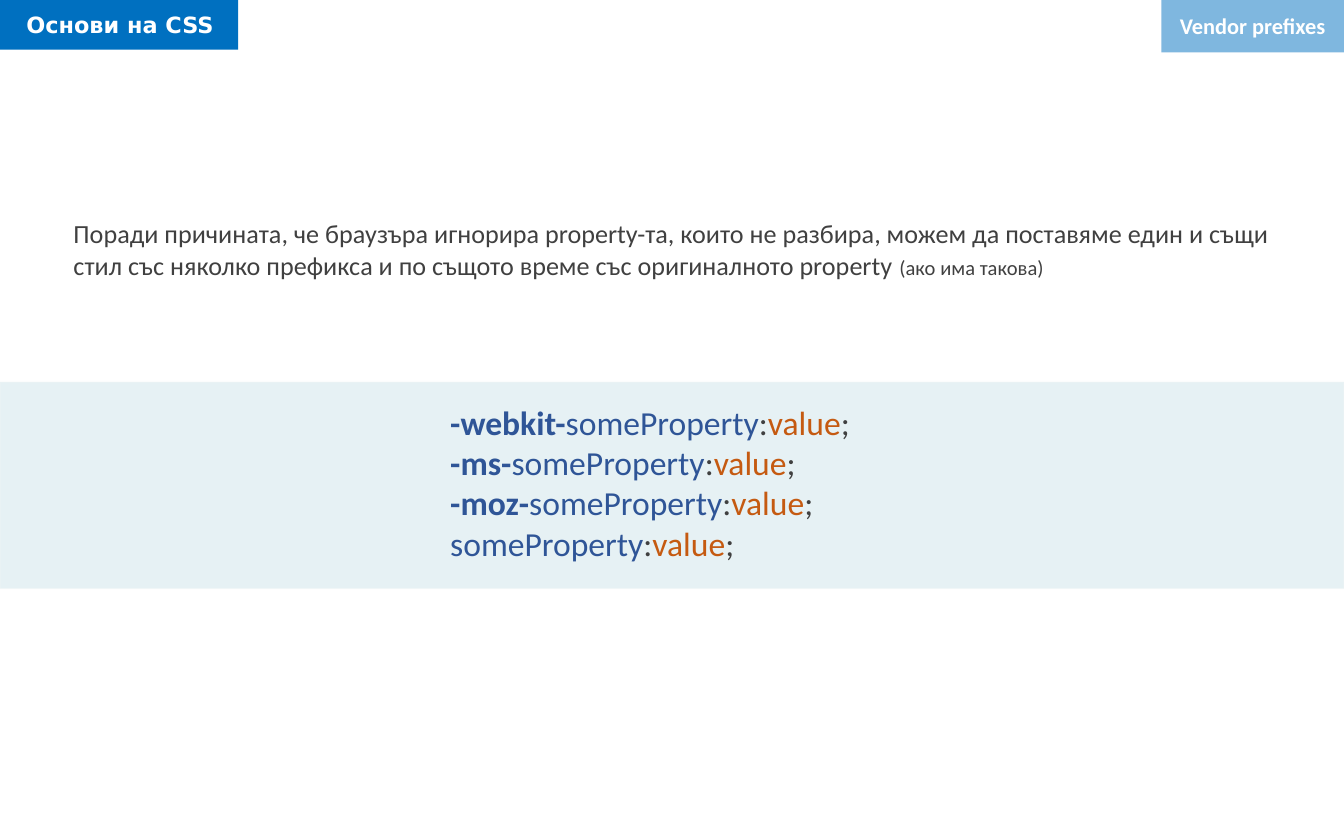
from dataclasses import dataclass

import lxml.etree
import pptx
import pptx.dml.color
import pptx.enum.shapes
import pptx.enum.text
import pptx.oxml.ns
import pptx.util


@dataclass(frozen=True)
class Theme:
    body_font: str = "Calibri"
    title_font: str = "DejaVu Sans"
    blue: str = "0070C0"
    teal: str = "127994"
    outline: str = "F8F8F8"
    white: str = "FFFFFF"
    text: str = "404040"
    property_name: str = "2F5597"
    value: str = "C55A11"
    code_size: int = 18
    body_size: int = 14
    tab_size: int = 12
    note_size: int = 11


THEME = Theme()


@dataclass(frozen=True)
class Box:
    """A rectangle in centimetres."""
    left: float
    top: float
    width: float
    height: float

    def lengths(self) -> list[pptx.util.Length]:
        return [pptx.util.Cm(n) for n in (self.left, self.top, self.width, self.height)]


@dataclass(frozen=True)
class Span:
    text: str
    size: int
    color: str
    bold: bool = False
    font: str = THEME.body_font


@dataclass(frozen=True)
class Panel:
    box: Box
    color: str
    opacity: int = 100
    outline: str | None = None
    outline_opacity: int = 100


@dataclass(frozen=True)
class Label:
    box: Box
    lines: list[list[Span]]
    centered: bool = False


def paint(fill, color: str, opacity: int) -> None:
    fill.solid()
    fill.fore_color.rgb = pptx.dml.color.RGBColor.from_string(color)
    if opacity < 100:
        # The solid fill's colour element carries the transparency
        color_element = fill._xPr.find(".//" + pptx.oxml.ns.qn("a:srgbClr"))
        alpha = lxml.etree.SubElement(color_element, pptx.oxml.ns.qn("a:alpha"))
        alpha.set("val", str(opacity * 1000))


def draw_panel(slide, panel: Panel) -> None:
    shape = slide.shapes.add_shape(
        pptx.enum.shapes.MSO_SHAPE.RECTANGLE, *panel.box.lengths())
    shape.shadow.inherit = False
    paint(shape.fill, panel.color, panel.opacity)
    if panel.outline:
        shape.line.width = pptx.util.Pt(1)
        paint(shape.line.fill, panel.outline, panel.outline_opacity)
    else:
        shape.line.fill.background()


def draw_label(slide, label: Label) -> None:
    text_frame = slide.shapes.add_textbox(*label.box.lengths()).text_frame
    text_frame.word_wrap = True
    text_frame.auto_size = pptx.enum.text.MSO_AUTO_SIZE.SHAPE_TO_FIT_TEXT
    for index, spans in enumerate(label.lines):
        paragraph = text_frame.add_paragraph() if index else text_frame.paragraphs[0]
        if label.centered:
            paragraph.alignment = pptx.enum.text.PP_ALIGN.CENTER
        for span in spans:
            run = paragraph.add_run()
            run.text = span.text
            run.font.name = span.font
            run.font.size = pptx.util.Pt(span.size)
            run.font.bold = span.bold
            run.font.color.rgb = pptx.dml.color.RGBColor.from_string(span.color)


def declaration(prefix: str) -> list[Span]:
    """One CSS declaration, with its vendor prefix in bold."""
    size = THEME.code_size
    start = [Span(prefix, size, THEME.property_name, bold=True)] if prefix else []
    return start + [
        Span("someProperty", size, THEME.property_name),
        Span(":", size, THEME.text),
        Span("value", size, THEME.value),
        Span(";", size, THEME.text),
    ]


def tab_text(text: str, font: str) -> list[list[Span]]:
    return [[Span(text, THEME.tab_size, THEME.white, True, font)]]


def main() -> None:
    presentation = pptx.Presentation()
    presentation.slide_width = pptx.util.Cm(25.4)
    presentation.slide_height = pptx.util.Cm(15.88)
    slide = presentation.slides.add_slide(presentation.slide_layouts[6])

    # Code band
    draw_panel(slide, Panel(Box(0, 7.22, 25.4, 3.91), THEME.teal, 10, THEME.outline, 16))
    prefixes = ["-webkit-", "-ms-", "-moz-", ""]
    draw_label(slide, Label(Box(8.26, 7.47, 9.65, 3.33),
                            [declaration(prefix) for prefix in prefixes]))

    # Explanation
    draw_label(slide, Label(Box(1.14, 3.99, 23.57, 1.45), [[
        Span("Поради причината, че браузъра игнорира property-та, които не разбира, "
             "можем да поставяме един и същи стил със няколко префикса и по същото "
             "време със оригиналното property ", THEME.body_size, THEME.text),
        Span("(ако има такова)", THEME.note_size, THEME.text),
    ]]))

    # Topic tab, right
    draw_panel(slide, Panel(Box(21.95, 0, 3.45, 0.99), THEME.blue, 50))
    draw_label(slide, Label(Box(21.95, 0.1, 3.45, 0.76),
                            tab_text("Vendor prefixes", THEME.body_font), centered=True))

    # Course tab, left
    draw_panel(slide, Panel(Box(0, -0.05, 4.5, 0.99), THEME.blue))
    draw_label(slide, Label(Box(0.25, 0.08, 4.24, 0.76),
                            tab_text("Основи на CSS", THEME.title_font)))

    presentation.save("out.pptx")


if __name__ == "__main__":
    main()
